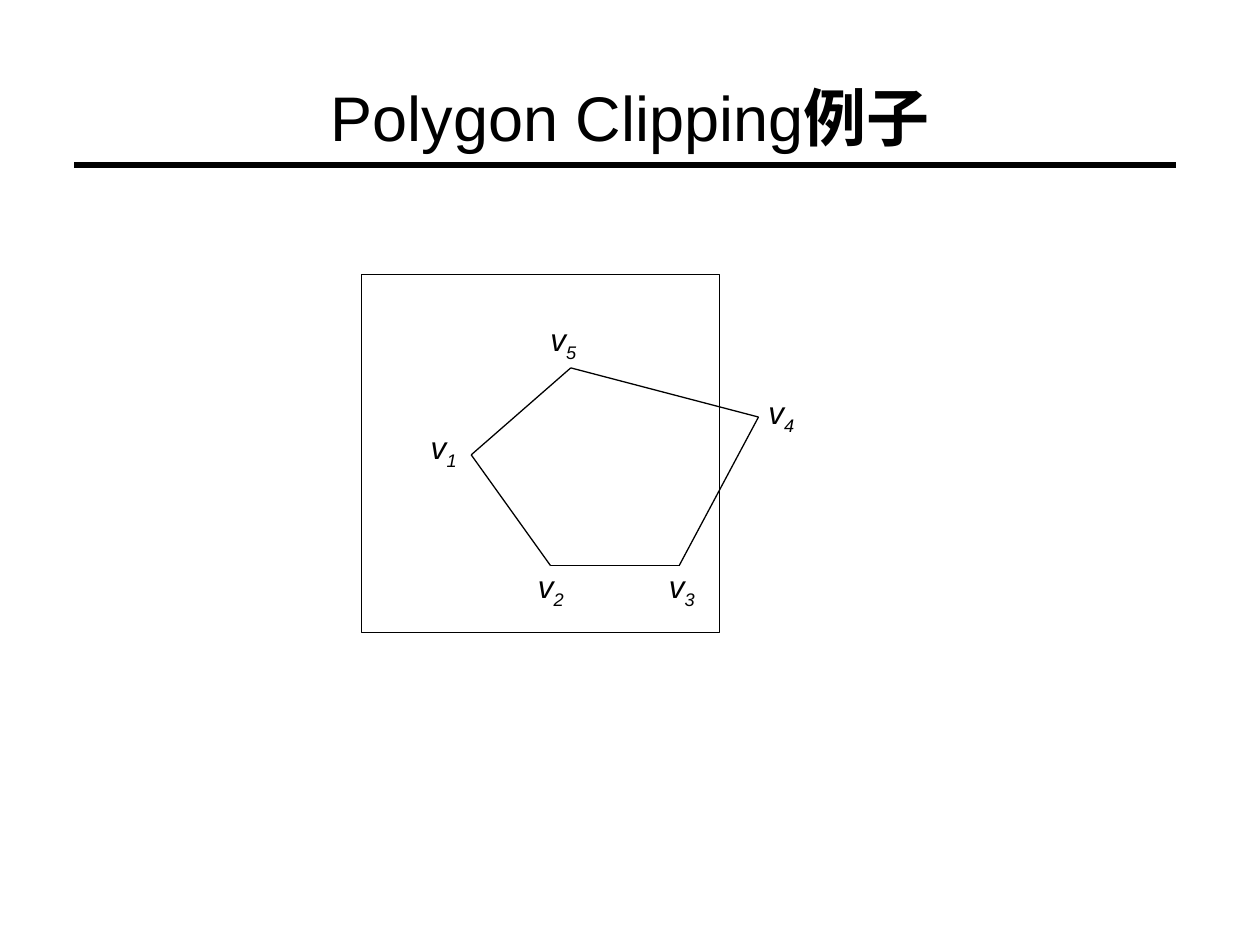
import pptx
import pptx.util
import pptx.dml.color
import pptx.enum.shapes
import pptx.enum.text
import pptx.oxml.ns
from lxml import etree

Inches, Pt = pptx.util.Inches, pptx.util.Pt
BLACK = pptx.dml.color.RGBColor(0, 0, 0)

TITLE = [("Polygon Clipping", {}), ("例子", {"bold": True})]
TITLE_BOX = (0.5, 0.3, 9, 1.25)
TITLE_RULE = ((0.59, 1.31), (9.33, 1.31))
CLIP_WINDOW = (2.87, 2.18, 2.84, 2.84)
LABEL_SIZE = (0.42, 0.4)
VERTICES = [
    ("1", (3.74, 3.61), (3.32, 3.35)),
    ("5", (4.53, 2.92), (4.27, 2.49)),
    ("4", (6.02, 3.31), (6, 3.07)),
    ("3", (5.39, 4.49), (5.21, 4.45)),
    ("2", (4.37, 4.49), (4.17, 4.45)),
]


def add_text(shapes, box, runs, size, **frame):
    tf = shapes.add_textbox(*map(Inches, box)).text_frame
    for name, value in frame.items():
        setattr(tf, name, value)
    p = tf.paragraphs[0]
    for text, fmt in runs:
        r = p.add_run()
        r.text = text
        r.font.color.rgb = BLACK
        for name, value in {"name": "Arial", "size": Pt(size), **fmt}.items():
            setattr(r.font, name, value)
    return p


def add_line(shapes, start, end, width):
    line = shapes.add_connector(
        pptx.enum.shapes.MSO_CONNECTOR.STRAIGHT, *map(Inches, start + end))
    line.line.color.rgb = BLACK
    line.line.width = Pt(width)
    etree.SubElement(line._element.spPr, pptx.oxml.ns.qn("a:effectLst"))


def main():
    prs = pptx.Presentation()
    prs.slide_width, prs.slide_height = Inches(10), Inches(7.5)
    s = prs.slides.add_slide(prs.slide_layouts[6])

    p = add_text(s.shapes, TITLE_BOX, TITLE, 36, word_wrap=True,
                 vertical_anchor=pptx.enum.text.MSO_ANCHOR.MIDDLE)
    p.alignment = pptx.enum.text.PP_ALIGN.CENTER
    add_line(s.shapes, *TITLE_RULE, 3)

    polygon = s.shapes.add_group_shape()
    points = [point for _, point, _ in VERTICES]
    for start, end in zip(points, points[1:] + points[:1]):
        add_line(polygon.shapes, start, end, 0.75)

    sp = s.shapes.add_shape(
        pptx.enum.shapes.MSO_SHAPE.RECTANGLE, *map(Inches, CLIP_WINDOW))
    sp.shadow.inherit = False
    sp.fill.background()
    sp.line.color.rgb = BLACK
    sp.line.width = Pt(0.75)

    for index, _, corner in VERTICES:
        runs = [("v", {"italic": True}), (index, {"italic": True})]
        p = add_text(s.shapes, corner + LABEL_SIZE, runs, 18, word_wrap=False,
                     auto_size=pptx.enum.text.MSO_AUTO_SIZE.SHAPE_TO_FIT_TEXT)
        p.runs[1].font._element.set("baseline", "-25000")

    prs.save("out.pptx")


if __name__ == "__main__":
    main()
